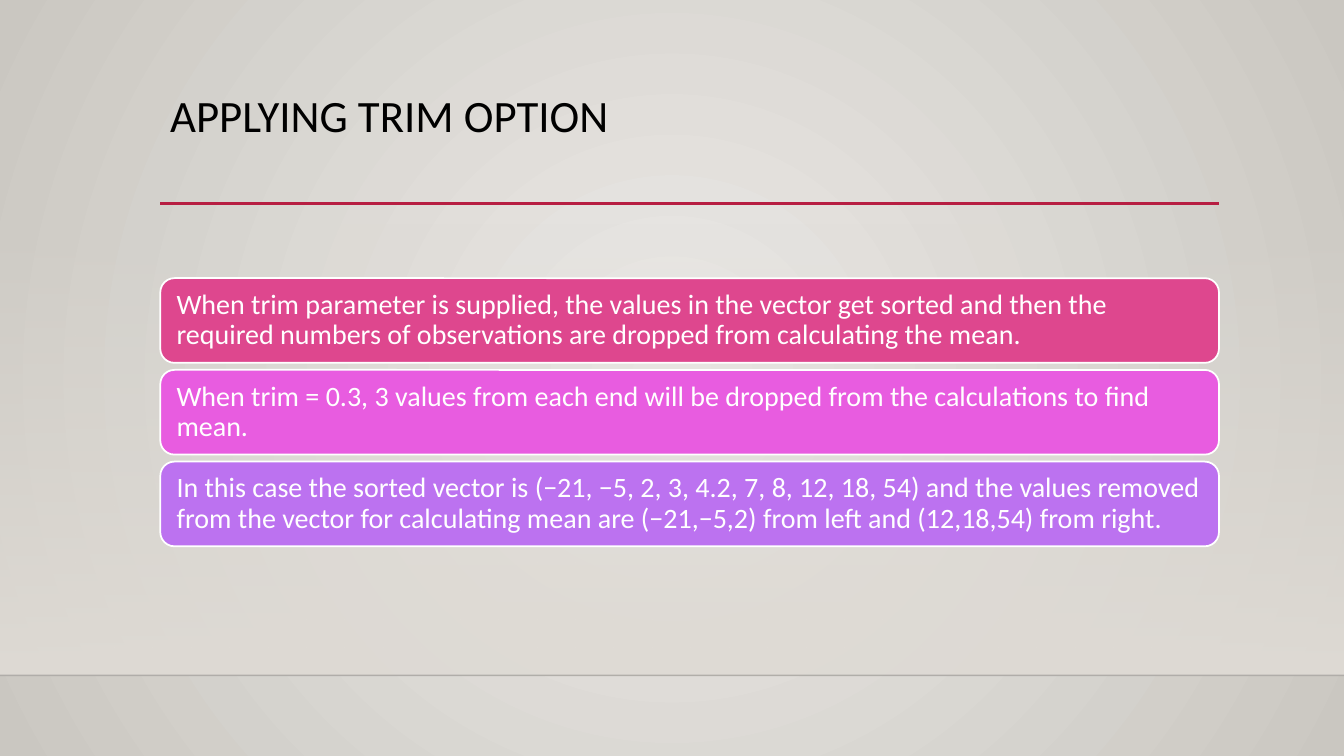
"""Build the slide on applying the trim option."""
from lxml import etree
from pptx import Presentation
from pptx.dml.color import RGBColor
from pptx.enum.shapes import MSO_CONNECTOR, MSO_SHAPE
from pptx.enum.text import MSO_ANCHOR, PP_ALIGN
from pptx.oxml import parse_xml
from pptx.oxml.ns import qn
from pptx.util import Inches, Pt

RECT, ROUNDED = MSO_SHAPE.RECTANGLE, MSO_SHAPE.ROUNDED_RECTANGLE
STRAIGHT = MSO_CONNECTOR.STRAIGHT
TOP, MIDDLE, LEFT = MSO_ANCHOR.TOP, MSO_ANCHOR.MIDDLE, PP_ALIGN.LEFT
COLORS = {
    "center": "ECEAE7", "edge": "CAC7C1", "wall": "DFDBD5", "floor": "000001",
    "rule": "B71E42", "black": "000000", "white": "FFFFFF",
    "pink": "DE478E", "magenta": "E85CE0", "purple": "BC72F0",
}
RGB = {name: RGBColor.from_string(value) for name, value in COLORS.items()}
A_NS = "http://schemas.openxmlformats.org/drawingml/2006/main"
PATH_XML = (f'<a:path xmlns:a="{A_NS}" path="circle">'
            '<a:fillToRect l="50000" t="50000" r="50000" b="50000"/></a:path>')
MARGIN, WIDTH = 1.59, 10.5
CARD_TOP, CARD_HEIGHT, CARD_STEP = 2.76, 0.84, 0.91
CARDS = [
    ("pink", "When trim parameter is supplied, the values in the vector get sorted "
     "and then the required numbers of observations are dropped from calculating the mean."),
    ("magenta", "When trim = 0.3, 3 values from each end will be dropped from the "
     "calculations to find mean."),
    ("purple", "In this case the sorted vector is (−21, −5, 2, 3, 4.2, 7, 8, 12, 18, 54) "
     "and the values removed from the vector for calculating mean are (−21,−5,2) "
     "from left and (12,18,54) from right."),
]


def write(s, text, size, color, anchor, inset_x, inset_y):
    tf = s.text_frame
    frame = {"word_wrap": True, "vertical_anchor": anchor,
             "margin_left": Inches(inset_x), "margin_right": Inches(inset_x),
             "margin_top": Inches(inset_y), "margin_bottom": Inches(inset_y)}
    for name, value in frame.items():
        setattr(tf, name, value)
    p = tf.paragraphs[0]
    p.alignment, p.line_spacing = LEFT, 0.9
    r = p.add_run()
    r.text = text
    r.font.name, r.font.size = "Calibri", Pt(size)
    r.font.color.rgb = RGB[color]


def set_alpha(parent, percent):
    for color in parent.iter(qn("a:srgbClr")):
        etree.SubElement(color, qn("a:alpha")).set("val", str(percent * 1000))


prs = Presentation()
prs.slide_width, prs.slide_height = Inches(13.33), Inches(7.5)
slide = prs.slides.add_slide(prs.slide_layouts[6])
shapes = slide.shapes

fill = slide.background.fill
fill.gradient()
for stop, name, position in zip(fill.gradient_stops, ("center", "edge"), (0, 1)):
    stop.color.rgb, stop.position = RGB[name], position
lin = next(slide.element.iter(qn("a:lin")))
lin.getparent().replace(lin, parse_xml(PATH_XML))

wall = shapes.add_shape(RECT, 0, Inches(2.21), prs.slide_width, Inches(4.49))
wall.shadow.inherit = False
wall.line.fill.background()
wall.fill.gradient()
wall.fill.gradient_angle = 270
for stop, position in zip(wall.fill.gradient_stops, (0, 1)):
    stop.color.rgb, stop.position = RGB["wall"], position
set_alpha(next(wall.element.iter(qn("a:gs"))), 0)

for left, right, y, color, weight, alpha in (
        (0, 13.33, 6.7, "floor", 1, 20), (MARGIN, MARGIN + WIDTH, 2.02, "rule", 2.5, 100)):
    s = shapes.add_connector(STRAIGHT, Inches(left), Inches(y), Inches(right), Inches(y))
    s.line.color.rgb, s.line.width = RGB[color], Pt(weight)
    set_alpha(s.line.fill._xPr, alpha)
    etree.SubElement(s.element.spPr, qn("a:effectLst"))

title = shapes.add_textbox(Inches(MARGIN), Inches(0.88), Inches(WIDTH), Inches(1.15))
write(title, "APPLYING TRIM OPTION", 32, "black", TOP, 0.1, 0.05)

for i, (color, text) in enumerate(CARDS):
    s = shapes.add_shape(ROUNDED, Inches(MARGIN), Inches(CARD_TOP + i * CARD_STEP),
                         Inches(WIDTH), Inches(CARD_HEIGHT))
    s.shadow.inherit = False
    s.fill.solid()
    s.fill.fore_color.rgb = RGB[color]
    s.line.color.rgb, s.line.width = RGB["white"], Pt(1.25)
    write(s, text, 20, "white", MIDDLE, 0.12, 0.08)

prs.save("out.pptx")
